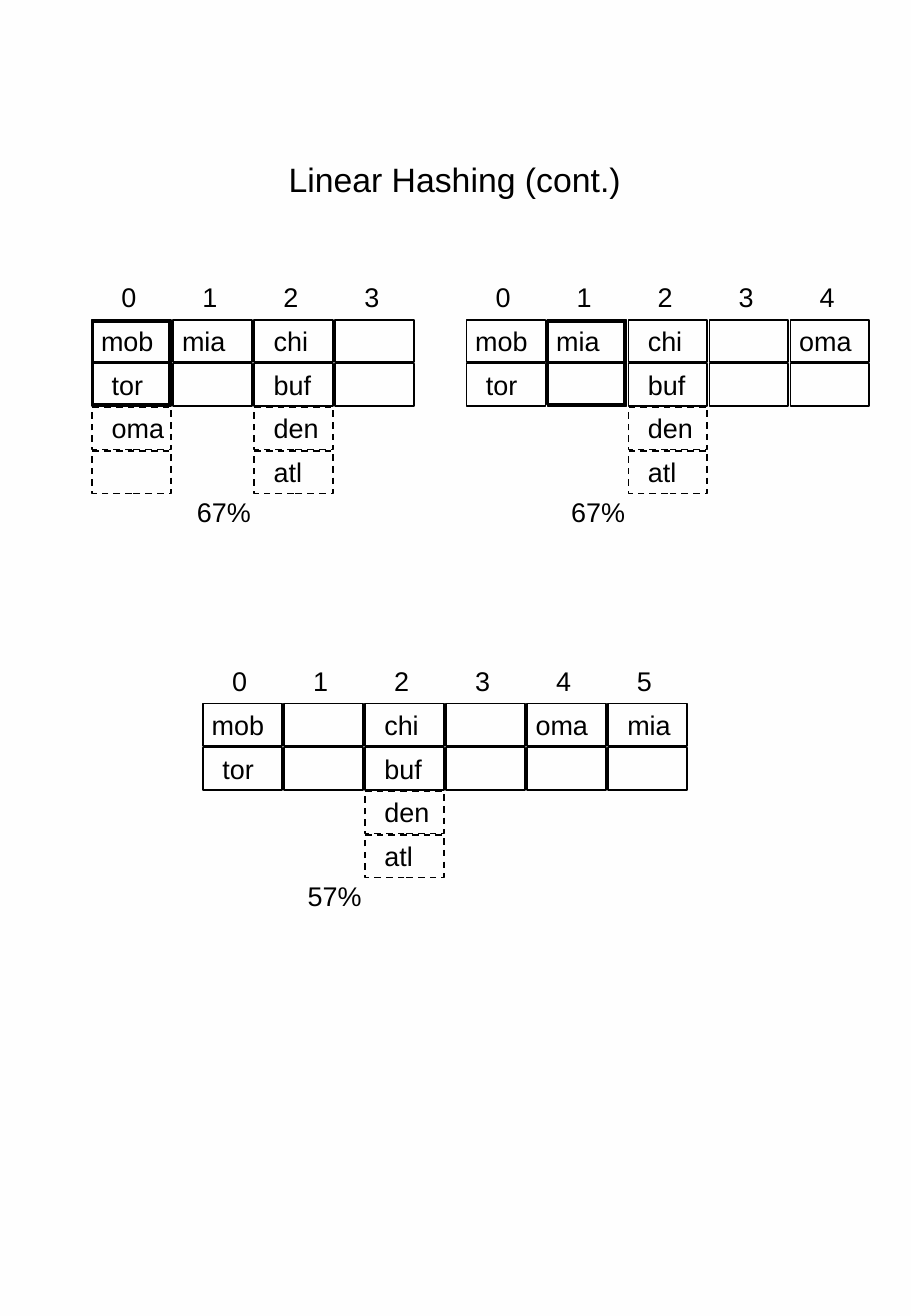
from pptx import Presentation
from pptx.dml.color import RGBColor
from pptx.enum.dml import MSO_LINE
from pptx.enum.shapes import MSO_SHAPE
from pptx.enum.text import MSO_ANCHOR, MSO_AUTO_SIZE, PP_ALIGN
from pptx.util import Pt

COLORS = {"ink": "000000", "page_start": "FEFEFE", "page_end": "FFFFFF"}
KEY_FONT = {"name": "Arial", "size": Pt(16)}
TITLE_FONT = {"name": "Arial", "size": Pt(20), "bold": False}
CELL_FRAME = {
    "margin_top": Pt(2.9), "margin_right": Pt(0), "margin_bottom": Pt(0),
    "vertical_anchor": MSO_ANCHOR.TOP, "word_wrap": True,
}
LABEL_FRAME = {"word_wrap": False, "auto_size": MSO_AUTO_SIZE.SHAPE_TO_FIT_TEXT}
TITLE_FRAME = {
    "margin_left": Pt(7.2), "margin_right": Pt(7.2), "margin_top": Pt(3.6),
    "margin_bottom": Pt(3.6), "vertical_anchor": MSO_ANCHOR.MIDDLE, "word_wrap": True,
}
HOME_ROWS = 2
MAX_ROWS = 4
GAP = 1.2
PITCH = 48
TABLE_HEIGHT = 103.68

STAGES = [
    {
        "origin": (54.7, 189.4), "load": "67%", "split": 0, "near": (0, 1),
        "buckets": [["mob", "tor", "oma", ""], ["mia", ""],
                    ["chi", "buf", "den", "atl"], ["", ""]],
    },
    {
        "origin": (276.5, 189.4), "load": "67%", "split": 1, "near": (0, 1, 4),
        "buckets": [["mob", "tor"], ["mia", ""], ["chi", "buf", "den", "atl"],
                    ["", ""], ["oma", ""]],
    },
    {
        "origin": (120.3, 416.9), "load": "57%", "split": None, "near": (0, 4),
        "buckets": [["mob", "tor"], ["", ""], ["chi", "buf", "den", "atl"],
                    ["", ""], ["oma", ""], ["mia", ""]],
    },
]


def apply(target, values):
    """Set every attribute named in a dict of format values."""
    for name, value in values.items():
        setattr(target, name, value)


def write(frame, text, font, alignment=PP_ALIGN.LEFT):
    """Write one formatted paragraph into a text frame."""
    paragraph = frame.paragraphs[0]
    paragraph.alignment = alignment
    run = paragraph.add_run()
    run.text = text
    apply(run.font, font)
    run.font.color.rgb = RGBColor.from_string(COLORS["ink"])


def outline(slide, left, top, width, height, line_format):
    """Add an unfilled rectangle."""
    rect = slide.shapes.add_shape(
        MSO_SHAPE.RECTANGLE, Pt(left), Pt(top), Pt(width), Pt(height))
    rect.shadow.inherit = False
    rect.fill.background()
    rect.line.color.rgb = RGBColor.from_string(COLORS["ink"])
    apply(rect.line, line_format)
    return rect


def label(slide, left, top, width, text):
    """Add a one-line text box."""
    box = slide.shapes.add_textbox(Pt(left), Pt(top), Pt(width), Pt(25.9))
    apply(box.text_frame, LABEL_FRAME)
    write(box.text_frame, text, KEY_FONT)


def hash_table(slide, box, buckets, load, split, near):
    """Draw numbered buckets, their overflow cells and the load factor."""
    left, top, width, height = box
    pitch, row_pitch = width / len(buckets), height / MAX_ROWS
    cell_width, cell_height = pitch - GAP, row_pitch - 0.72
    for number, keys in enumerate(buckets):
        bucket_left = left + number * pitch
        label(slide, bucket_left + 10.2, top - 26.6, 23.04, str(number))
        for row, key in enumerate(keys):
            dash = MSO_LINE.DASH if row >= HOME_ROWS else None
            cell = outline(slide, bucket_left, top + row * row_pitch, cell_width,
                           cell_height, {"width": Pt(1), "dash_style": dash})
            if key:
                indent = 5.2 if row == 0 and number in near else 11.5
                apply(cell.text_frame, CELL_FRAME)
                cell.text_frame.margin_left = Pt(indent)
                write(cell.text_frame, key, KEY_FONT)
    if split is not None:
        outline(slide, left + split * pitch, top + 0.7, cell_width - 0.7,
                HOME_ROWS * row_pitch - 2.1, {"width": Pt(2)})
    label(slide, left + 55, top + 100.8, 46.5, load)


def heading(slide, box, text):
    """Place and format the title."""
    title = slide.shapes.title
    apply(title, dict(zip(("left", "top", "width", "height"), map(Pt, box))))
    apply(title.text_frame, TITLE_FRAME)
    write(title.text_frame, text, TITLE_FONT, PP_ALIGN.CENTER)


def page_background(slide):
    """Fill the page with its faint gradient."""
    fill = slide.background.fill
    fill.gradient()
    fill.gradient_angle = 180
    for stop, shade in zip(fill.gradient_stops, ("page_start", "page_end")):
        stop.color.rgb = RGBColor.from_string(COLORS[shade])


def main():
    """Build the linear hashing slide."""
    deck = Presentation()
    deck.slide_width, deck.slide_height = Pt(540), Pt(779.76)
    slide = deck.slides.add_slide(deck.slide_layouts[5])
    page_background(slide)
    heading(slide, (40.3, 69.1, 458.6, 73.4), "Linear Hashing (cont.)")
    for stage in STAGES:
        buckets = stage["buckets"]
        box = (*stage["origin"], PITCH * len(buckets), TABLE_HEIGHT)
        hash_table(slide, box, buckets, stage["load"], stage["split"], stage["near"])
    deck.save("out.pptx")


if __name__ == "__main__":
    main()
